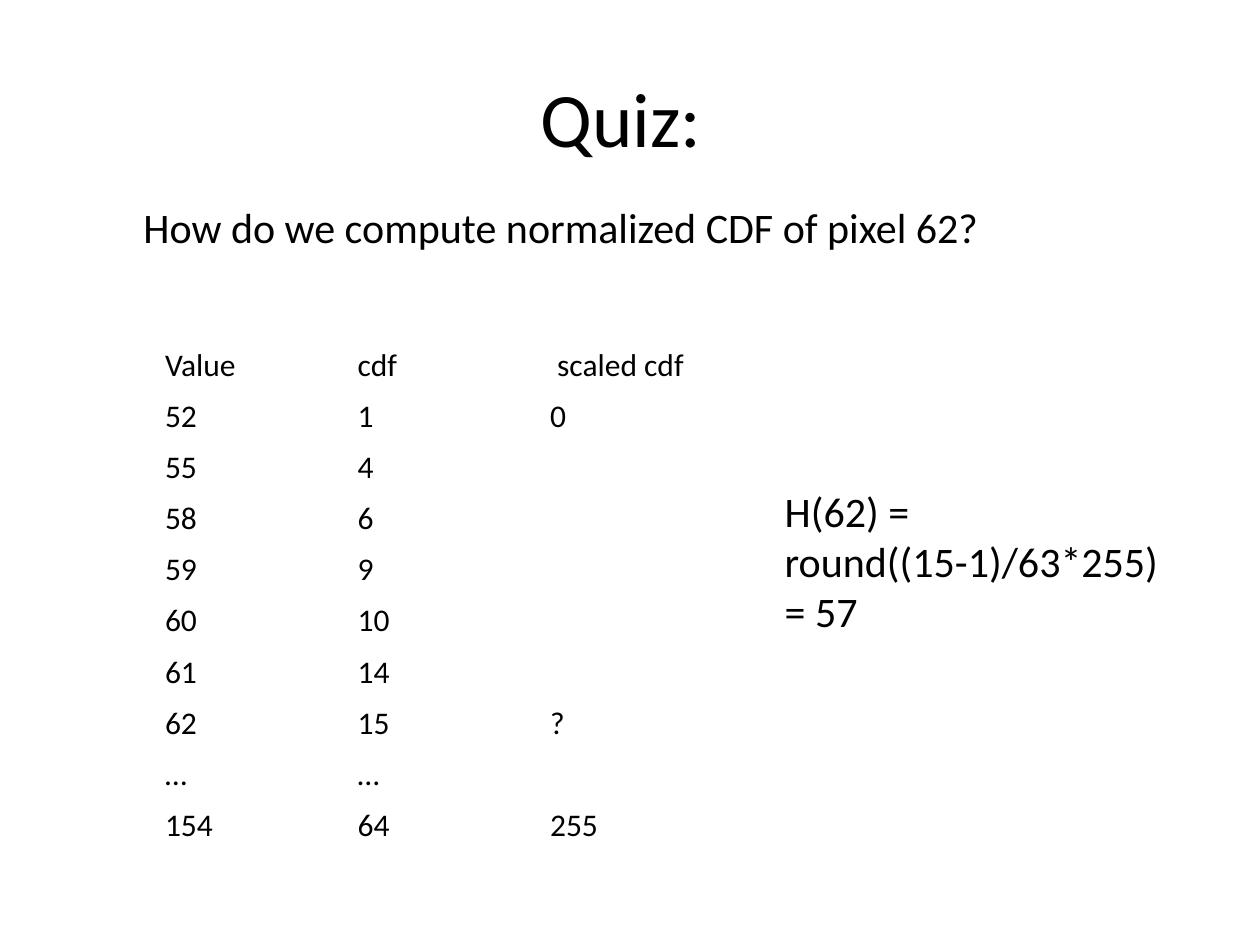
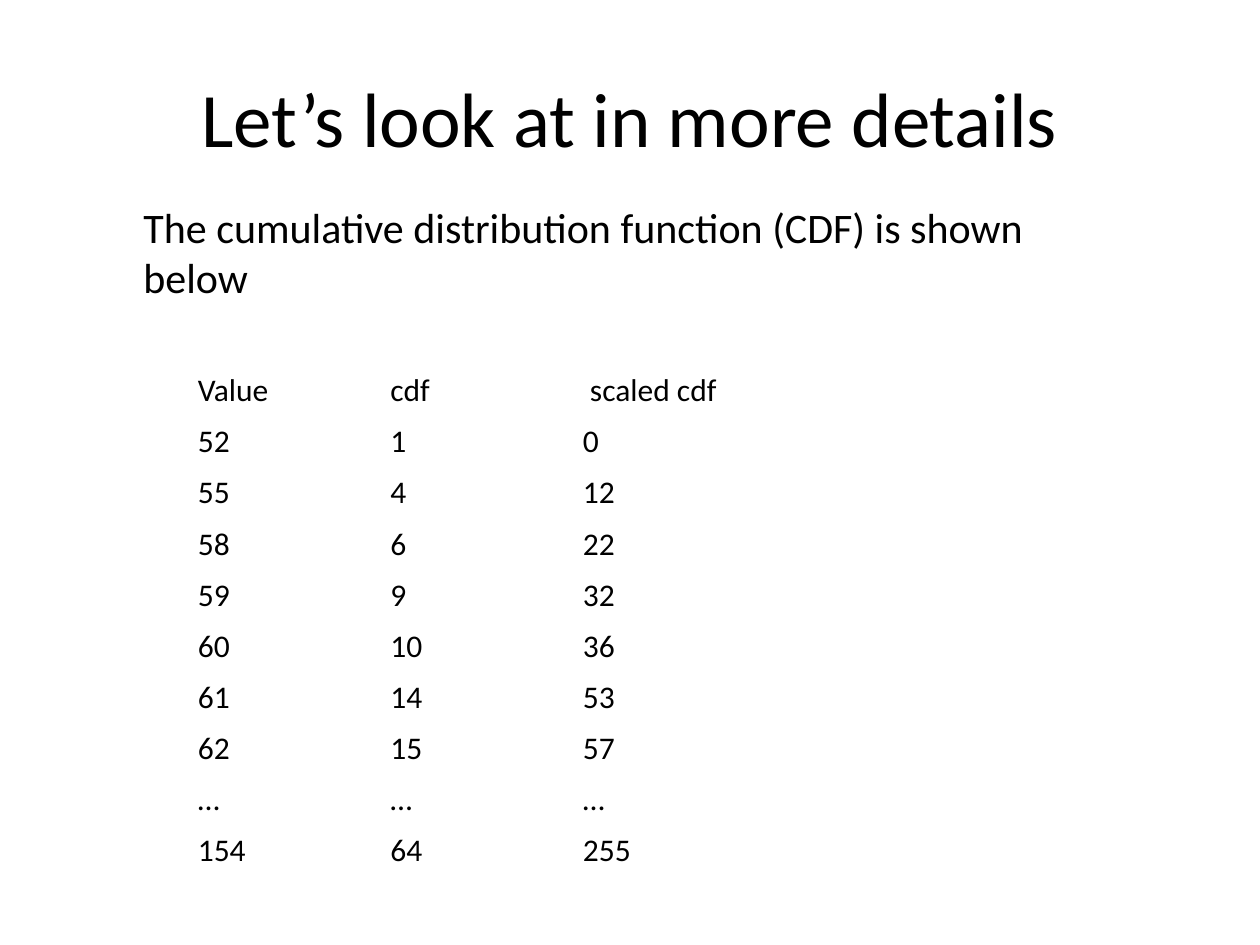
from dataclasses import dataclass

from pptx import Presentation
from pptx.dml.color import RGBColor
from pptx.enum.text import MSO_ANCHOR, MSO_AUTO_SIZE as AutoSize, PP_ALIGN as Align
from pptx.util import Inches, Pt


# Theme: colours and type sizes
@dataclass(frozen=True)
class Theme:
    ink: RGBColor = RGBColor(0, 0, 0)
    paper: RGBColor = RGBColor(255, 255, 255)
    font: str = "Calibri"
    title: int = 44
    statement: int = 24
    cell: int = 18


theme = Theme()
deck = Presentation()
deck.slide_width, deck.slide_height = Inches(10), Inches(7.5)
TITLE_ONLY = deck.slide_layouts[5]


# Boxes are left, top, width, height in percent of the slide
def place(box):
    sides = (deck.slide_width, deck.slide_height) * 2
    return [round(side * share / 100) for side, share in zip(sides, box)]


def write(frame, lines, size, align=Align.LEFT):
    frame.text = "\n".join(lines)
    font_format = {"name": theme.font, "size": Pt(size), "bold": False}
    for paragraph in frame.paragraphs:
        paragraph.alignment = align
        for run in paragraph.runs:
            for attribute, value in font_format.items():
                setattr(run.font, attribute, value)
            run.font.color.rgb = theme.ink


# Shared layout
TITLE_BOX = (5, 4, 90, 16.67)
STATEMENT_LEFT, STATEMENT_TOP, STATEMENT_WIDTH = 10.4, 20.67, 76
COLUMN, ROW = 15.28, 5.41
PLAIN_TABLE = {"first_row": False, "horz_banding": False}
STATEMENT_FORMAT = {"word_wrap": True, "auto_size": AutoSize.SHAPE_TO_FIT_TEXT}

# Table content: the first two columns are the same on both slides
HEADINGS = ("Value", "cdf", " scaled cdf")
VALUES = ("52", "55", "58", "59", "60", "61", "62", "…", "154")
CDF = ("1", "4", "6", "9", "10", "14", "15", "…", "64")

lessons = [
    {
        "title": "Quiz: ",
        "statements": [
            (["How do we compute normalized CDF of pixel 62?"],
             (STATEMENT_LEFT, STATEMENT_TOP, STATEMENT_WIDTH, 6.67)),
            (["H(62) = round((15-1)/63*255)", "= 57"],
             (61.3, 50.67, 33.7, 17.47)),
        ],
        "table_corner": (12.1, 36),
        "scaled": ("0", "", "", "", "", "", "?", "", "255"),
    },
    {
        "title": "Let’s look at in more details",
        "statements": [
            (["The cumulative distribution function (CDF) is shown below"],
             (STATEMENT_LEFT, STATEMENT_TOP, STATEMENT_WIDTH, 12.13)),
        ],
        "table_corner": (14.7, 38.67),
        "scaled": ("0", "12", "22", "32", "36", "53", "57", "…", "255"),
    },
]

for lesson in lessons:
    slide = deck.slides.add_slide(TITLE_ONLY)
    slide.background.fill.solid()
    slide.background.fill.fore_color.rgb = theme.paper

    # Title
    heading = slide.shapes.title
    heading.left, heading.top, heading.width, heading.height = place(TITLE_BOX)
    heading.text_frame.vertical_anchor = MSO_ANCHOR.MIDDLE
    write(heading.text_frame, [lesson["title"]], theme.title, Align.CENTER)

    # Question, answer or explanation
    for lines, box in lesson["statements"]:
        statement = slide.shapes.add_textbox(*place(box)).text_frame
        for attribute, value in STATEMENT_FORMAT.items():
            setattr(statement, attribute, value)
        write(statement, lines, theme.statement)

    # CDF table
    rows = [HEADINGS, *zip(VALUES, CDF, lesson["scaled"])]
    table_box = (*lesson["table_corner"], COLUMN * len(HEADINGS), ROW * len(rows))
    cdf_table = slide.shapes.add_table(len(rows), len(HEADINGS), *place(table_box)).table
    for attribute, value in PLAIN_TABLE.items():
        setattr(cdf_table, attribute, value)
    for row, entries in enumerate(rows):
        for column, entry in enumerate(entries):
            cell = cdf_table.cell(row, column)
            cell.fill.background()
            write(cell.text_frame, [entry], theme.cell)

deck.save("out.pptx")
